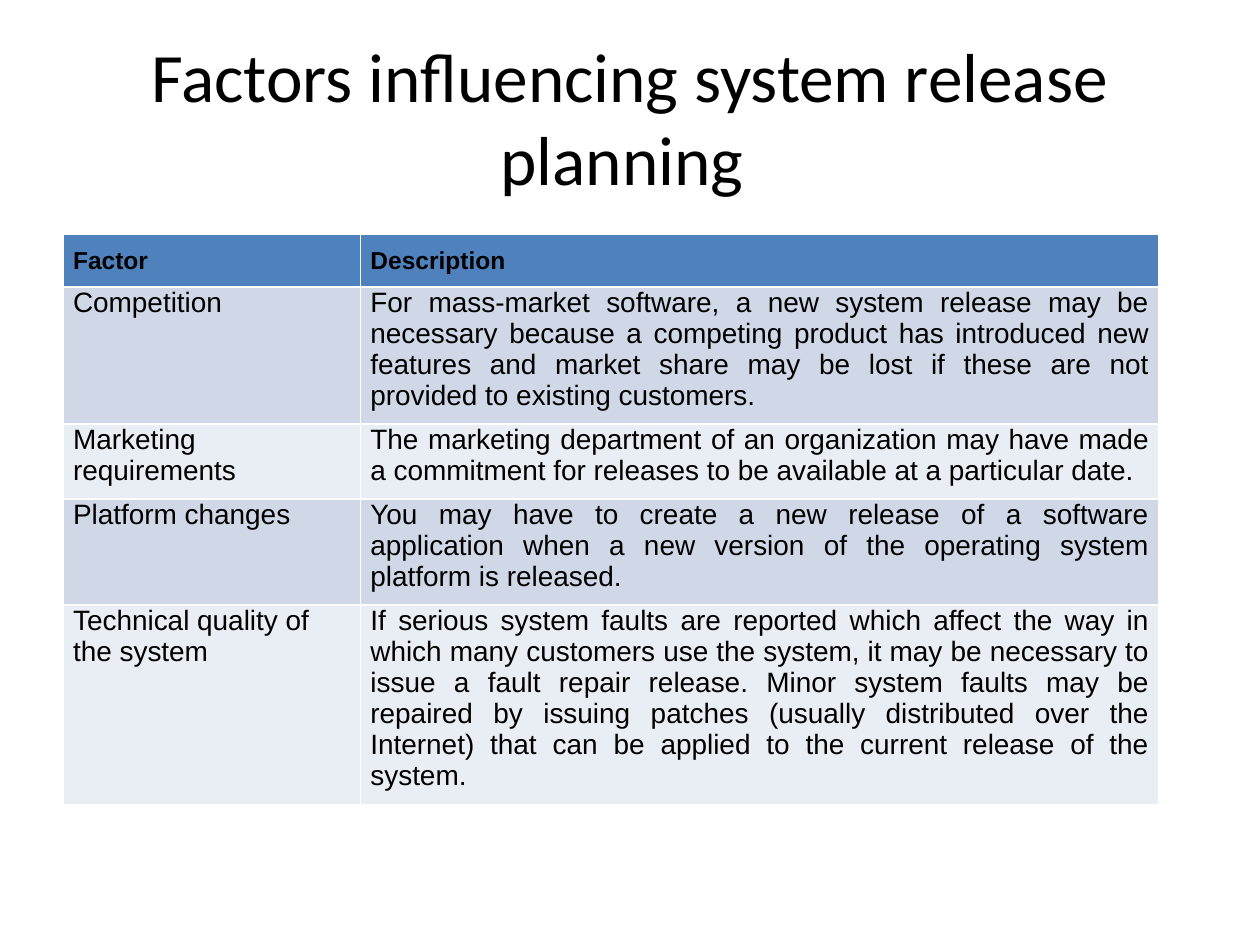
from pptx import Presentation
from pptx.dml.color import RGBColor
from pptx.enum.text import MSO_ANCHOR, MSO_AUTO_SIZE, PP_ALIGN
from pptx.util import Inches, Pt

LEFT, CENTER, JUSTIFY = PP_ALIGN.LEFT, PP_ALIGN.CENTER, PP_ALIGN.JUSTIFY
MIDDLE, TOP = MSO_ANCHOR.MIDDLE, MSO_ANCHOR.TOP
NO_AUTOFIT = MSO_AUTO_SIZE.NONE

BLACK = RGBColor(0x00, 0x00, 0x00)
HEADER_BLUE = RGBColor(0x4F, 0x81, 0xBD)
BANDS = (RGBColor(0xD0, 0xD8, 0xE8), RGBColor(0xE9, 0xED, 0xF4))

HEADINGS = ("Factor", "Description")
FACTORS = (
    ("Competition",
     "For mass-market software, a new system release may be necessary because "
     "a competing product has introduced new features and market share may be "
     "lost if these are not provided to existing customers."),
    ("Marketing requirements",
     "The marketing department of an organization may have made a commitment "
     "for releases to be available at a particular date."),
    ("Platform changes",
     "You may have to create a new release of a software application when a "
     "new version of the operating system platform is released."),
    ("Technical quality of the system",
     "If serious system faults are reported which affect the way in which many "
     "customers use the system, it may be necessary to issue a fault repair "
     "release. Minor system faults may be repaired by issuing patches (usually "
     "distributed over the Internet) that can be applied to the current "
     "release of the system."),
)
COLUMN_WIDTHS = (2.36, 6.34)
ROW_HEIGHTS = (0.41, 1.08, 0.59, 0.84, 1.58)


class SlideBuilder:
    title_font = "Calibri"
    table_font = "Arial"

    def __init__(self, slide):
        self.slide = slide

    def style(self, paragraph, font_name, size, alignment, bold=False):
        paragraph.alignment = alignment
        font = paragraph.font
        font.name, font.size, font.bold = font_name, Pt(size), bold
        font.color.rgb = BLACK

    def title(self, text, left, top, width, height):
        shape = self.slide.shapes.title
        shape.left, shape.top = Inches(left), Inches(top)
        shape.width, shape.height = Inches(width), Inches(height)
        frame = shape.text_frame
        frame.text = text
        frame.word_wrap = True
        frame.auto_size = NO_AUTOFIT
        frame.vertical_anchor = MIDDLE
        self.style(frame.paragraphs[0], self.title_font, 39.6, CENTER)

    def cell(self, cell, text, fill, size, alignment, top_margin, bold=False):
        cell.fill.solid()
        cell.fill.fore_color.rgb = fill
        cell.margin_left = cell.margin_right = Inches(0.08)
        cell.margin_top, cell.margin_bottom = Inches(top_margin), Inches(0.1)
        cell.vertical_anchor = TOP
        cell.text = text
        self.style(cell.text_frame.paragraphs[0], self.table_font, size,
                   alignment, bold)

    def table(self, headings, rows, left, top, widths, heights):
        table = self.slide.shapes.add_table(
            len(rows) + 1, len(headings), Inches(left), Inches(top),
            Inches(sum(widths)), Inches(sum(heights))).table
        for column, width in zip(table.columns, widths):
            column.width = Inches(width)
        for row, height in zip(table.rows, heights):
            row.height = Inches(height)

        # Header row
        for column, heading in enumerate(headings):
            self.cell(table.cell(0, column), heading, HEADER_BLUE, 14,
                      JUSTIFY, 0.1, bold=True)

        # Banded body rows
        for index, row in enumerate(rows):
            for column, text in enumerate(row):
                self.cell(table.cell(index + 1, column), text,
                          BANDS[index % 2], 16,
                          JUSTIFY if column else LEFT, 0)


presentation = Presentation()
presentation.slide_width, presentation.slide_height = Inches(10), Inches(7.5)
title_only = presentation.slide_layouts[5]
builder = SlideBuilder(presentation.slides.add_slide(title_only))

builder.title("Factors influencing system release planning ", 0.5, 0.3, 9, 1.25)
builder.table(HEADINGS, FACTORS, 0.5, 1.86, COLUMN_WIDTHS, ROW_HEIGHTS)

presentation.save("out.pptx")
